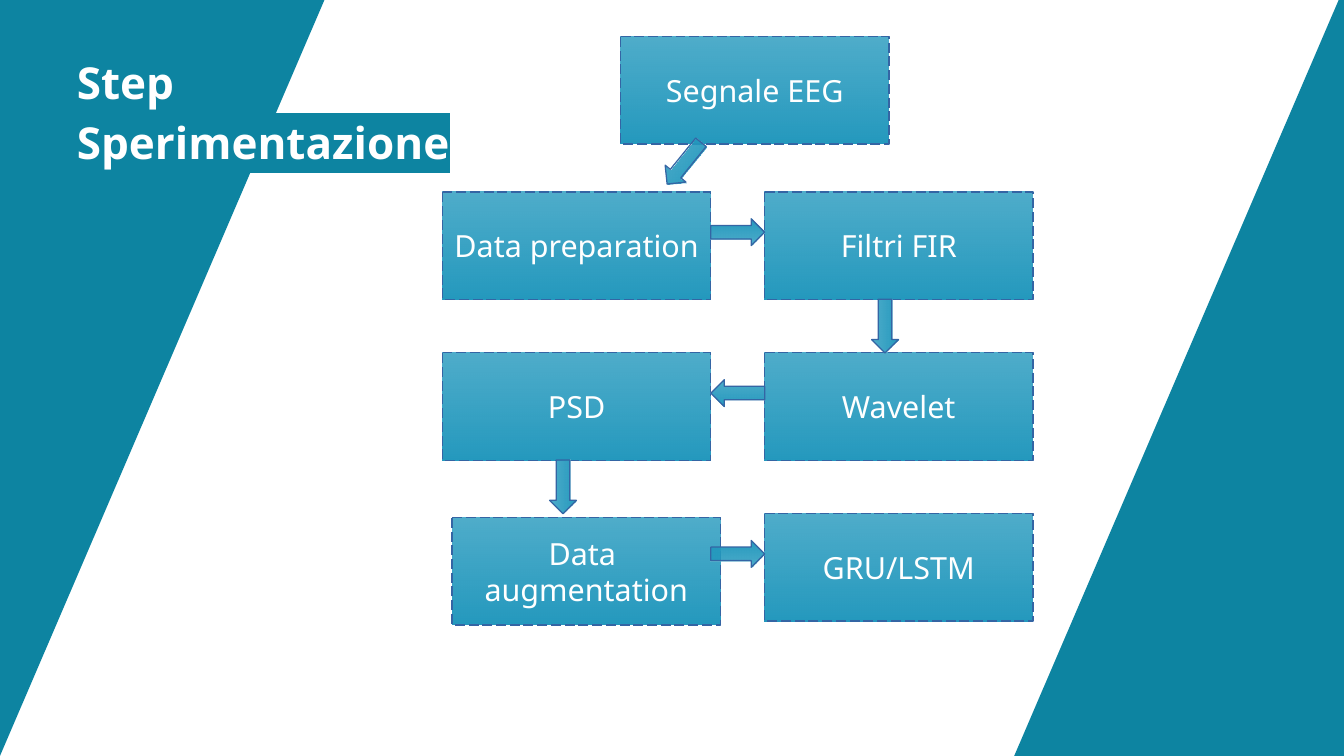
import pptx
import pptx.util
import pptx.dml.color
import pptx.enum.dml
import pptx.enum.shapes
import pptx.enum.text
import pptx.oxml
import pptx.oxml.ns
import lxml.etree

Cm = pptx.util.Cm
Pt = pptx.util.Pt
KIND = pptx.enum.shapes.MSO_SHAPE
FONT = "Noto Sans"
HEX = {"band": "0D84A1", "box": "2499BE", "edge": "3465A4", "text": "FFFFFF"}

WIDE, HIGH = 28, 15.75
BANDS = [
    [(0, 0), (6.76, 0), (0, HIGH)],
    [(27.89, 0), (WIDE, 0), (WIDE, HIGH), (21.13, HIGH)],
]
TITLE = "Step \vSperimentazione"
BOX_W, BOX_H = 5.59, 2.24
COLS = [9.22, 15.93]
ROWS = [4 + 3.35 * row for row in range(3)]
START = ("Segnale EEG", 12.93, 0.76)
STEPS = [
    ("Data preparation", 0, 0),
    ("Filtri FIR", 1, 0),
    ("Wavelet", 1, 1),
    ("PSD", 0, 1),
    ("Data \naugmentation", 0, 2),
    ("GRU/LSTM", 1, 2),
]
SHIFT = {"Data \naugmentation": (0.2, 0.08)}
ARROW_W, ARROW_H = 1.12, 0.56
ACROSS = [(0, 0), (1, 180), (2, 0)]
DOWN = [(1, 0), (0, 1)]
FIRST = (14.25, 3.4, 129)


def tint(name):
    return pptx.dml.color.RGBColor.from_string(HEX[name])


def add_child(parent, tag, **attrs):
    child = lxml.etree.SubElement(parent, pptx.oxml.ns.qn(tag))
    for key, value in attrs.items():
        child.set(key, value)
    return child


def style(shape):
    shape.shadow.inherit = False
    fill = shape.fill
    fill.gradient()
    fill.gradient_angle = 270
    for stop, place in zip(fill.gradient_stops, (0, 1)):
        stop.position = place
        stop.color.rgb = tint("box")
    first = shape.element.spPr.find(".//" + pptx.oxml.ns.qn("a:srgbClr"))
    add_child(first, "a:alpha", val="80000")
    shape.line.color.rgb = tint("edge")
    shape.line.width = Pt(0)


def write(frame, text, size, bold=False):
    frame.text = text
    frame.vertical_anchor = pptx.enum.text.MSO_ANCHOR.MIDDLE
    for para in frame.paragraphs:
        for run in para.runs:
            run.font.name = FONT
            run.font.size = Pt(size)
            run.font.bold = bold
            run.font.color.rgb = tint("text")


def add_band(shapes, points):
    spots = [(Cm(x), Cm(y)) for x, y in points]
    pen = shapes.build_freeform(*spots[0])
    pen.add_line_segments(spots[1:], close=True)
    band = pen.convert_to_shape()
    band.shadow.inherit = False
    band.fill.solid()
    band.fill.fore_color.rgb = tint("band")
    band.line.fill.background()


def add_title(shapes):
    title = shapes.add_textbox(Cm(1.6), Cm(0.5), Cm(13.9), Cm(3.5))
    frame = title.text_frame
    frame.word_wrap = True
    frame.margin_left = frame.margin_right = 0
    frame.margin_top = frame.margin_bottom = 0
    write(frame, TITLE, 26, True)
    para = frame.paragraphs[0]
    para.line_spacing = 1.15
    for run in para.runs:
        mark = pptx.oxml.ns.qn("a:highlight")
        mark = lxml.etree.Element(mark)
        add_child(mark, "a:srgbClr", val=HEX["band"])
        run.font.fill._xPr.find(pptx.oxml.ns.qn("a:solidFill")).addnext(mark)


def add_box(shapes, text, x, y):
    box = shapes.add_shape(
        KIND.FLOWCHART_PROCESS, Cm(x), Cm(y), Cm(BOX_W), Cm(BOX_H))
    style(box)
    box.line.dash_style = pptx.enum.dml.MSO_LINE.LONG_DASH
    write(box.text_frame, text, 18)
    box.text_frame.word_wrap = False
    for para in box.text_frame.paragraphs:
        para.alignment = pptx.enum.text.PP_ALIGN.CENTER


def add_arrow(shapes, x, y, turn):
    arrow = shapes.add_shape(
        KIND.RIGHT_ARROW, Cm(x - ARROW_W / 2), Cm(y - ARROW_H / 2),
        Cm(ARROW_W), Cm(ARROW_H))
    style(arrow)
    arrow.rotation = turn
    arrow.element.spPr.get_or_add_xfrm().set("flipV", "1")


def main():
    deck = pptx.Presentation()
    deck.slide_width, deck.slide_height = Cm(WIDE), Cm(HIGH)
    shapes = deck.slides.add_slide(deck.slide_layouts[6]).shapes
    for points in BANDS:
        add_band(shapes, points)
    add_title(shapes)
    add_box(shapes, *START)
    for text, col, row in STEPS:
        dx, dy = SHIFT.get(text, (0, 0))
        add_box(shapes, text, COLS[col] + dx, ROWS[row] + dy)
    gap_x = (COLS[0] + BOX_W + COLS[1]) / 2
    for row, turn in ACROSS:
        add_arrow(shapes, gap_x, ROWS[row] + 0.84, turn)
    for col, row in DOWN:
        gap_y = (ROWS[row] + BOX_H + ROWS[row + 1]) / 2
        add_arrow(shapes, COLS[col] + 2.51, gap_y, 90)
    add_arrow(shapes, *FIRST)
    deck.save("out.pptx")


if __name__ == "__main__":
    main()
